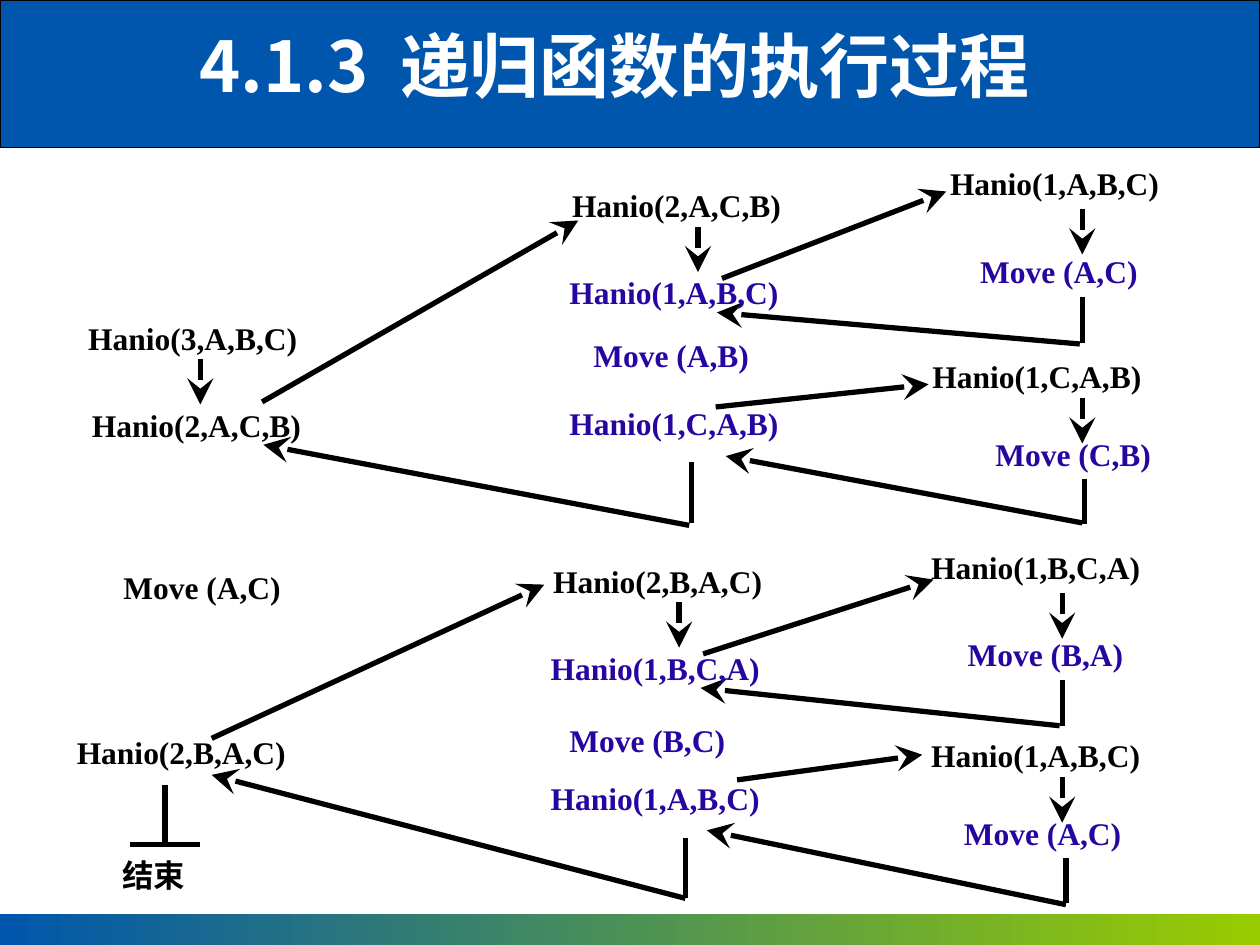
"""Build the slide that traces the recursive Hanio calls."""
from typing import NamedTuple

import pptx
import pptx.dml.color
import pptx.enum.shapes
import pptx.enum.text
import pptx.oxml
import pptx.oxml.ns
import pptx.util

Inches = pptx.util.Inches
Pt = pptx.util.Pt
RGBColor = pptx.dml.color.RGBColor
PP_ALIGN = pptx.enum.text.PP_ALIGN
MSO_ANCHOR = pptx.enum.text.MSO_ANCHOR
MSO_SHAPE = pptx.enum.shapes.MSO_SHAPE

BLUE = RGBColor(0x00, 0x56, 0xAC)
GREEN = RGBColor(0x99, 0xCC, 0x00)
PURPLE = RGBColor(0x26, 0x05, 0xA1)
BLACK = RGBColor(0, 0, 0)
WHITE = RGBColor(255, 255, 255)
LATIN = "Times New Roman"
CJK = "Noto Sans CJK SC"
STEP = 0.36


class Label(NamedTuple):
    text: str
    left: float
    top: float
    color: RGBColor = BLACK
    width: float = 1.9
    align: PP_ALIGN = PP_ALIGN.JUSTIFY


class Line(NamedTuple):
    x1: float
    y1: float
    x2: float
    y2: float
    arrow: bool = True


LABELS = [
    Label("Hanio(3,A,B,C)", 0.7, 2.53),
    Label("Hanio(2,A,C,B)", 0.73, 3.22),
    Label("Move (A,C)", 0.98, 4.51),
    Label("Hanio(2,B,A,C)", 0.61, 5.82),
    Label("结束", 0.97, 6.79, width=0.72, align=PP_ALIGN.LEFT),
    Label("Hanio(2,A,C,B)", 4.54, 1.48),
    Label("Hanio(1,A,B,C)", 4.52, 2.17, PURPLE),
    Label("Move (A,B)", 4.71, 2.67, PURPLE),
    Label("Hanio(1,C,A,B)", 4.52, 3.21, PURPLE),
    Label("Hanio(2,B,A,C)", 4.39, 4.46),
    Label("Hanio(1,B,C,A)", 4.37, 5.15, PURPLE),
    Label("Move (B,C)", 4.52, 5.72, PURPLE),
    Label("Hanio(1,A,B,C)", 4.37, 6.18, PURPLE),
    Label("Hanio(1,A,B,C)", 7.54, 1.3),
    Label("Move (A,C)", 7.78, 2.0, PURPLE),
    Label("Hanio(1,C,A,B)", 7.4, 2.83),
    Label("Move (C,B)", 7.9, 3.45, PURPLE),
    Label("Hanio(1,B,C,A)", 7.39, 4.35),
    Label("Move (B,A)", 7.68, 5.04, PURPLE),
    Label("Hanio(1,A,B,C)", 7.39, 5.84),
    Label("Move (A,C)", 7.65, 6.46, PURPLE),
]

STEPS_DOWN = [(1.59, 2.85), (5.54, 1.8), (5.39, 4.78),
              (8.59, 1.66), (8.59, 3.16), (8.43, 4.71), (8.43, 6.17)]
RETURN_STEMS = [(8.59, 2.36), (8.61, 3.8), (8.43, 5.4), (8.46, 6.81)]
CALLS = [
    Line(2.08, 3.19, 4.59, 1.75), Line(1.68, 5.86, 4.32, 4.64),
    Line(5.73, 2.21, 7.51, 1.52), Line(5.68, 3.23, 7.37, 3.05),
    Line(5.58, 5.19, 7.41, 4.6), Line(5.85, 6.19, 7.32, 5.99),
]
RETURNS = [
    Line(8.57, 2.73, 5.69, 2.48), Line(8.59, 4.15, 5.76, 3.62),
    Line(8.41, 5.76, 5.56, 5.46), Line(8.46, 7.18, 5.61, 6.59),
    Line(5.47, 4.17, 2.09, 3.53), Line(5.44, 7.13, 1.68, 6.15),
]
LONG_STEMS = [Line(5.49, 3.67, 5.49, 4.15, False), Line(5.44, 6.65, 5.44, 7.13, False)]
END_MARK = [Line(1.31, 6.23, 1.31, 6.7, False), Line(1.03, 6.7, 1.59, 6.7, False)]
LINES = (
    [Line(x, y, x, y + STEP) for x, y in STEPS_DOWN]
    + [Line(x, y, x, y + STEP, False) for x, y in RETURN_STEMS]
    + CALLS + RETURNS + LONG_STEMS + END_MARK
)


def format_run(r, size: float, name: str, color: RGBColor) -> None:
    r.font.size = Pt(size)
    r.font.bold = True
    r.font.name = name
    r.font.color.rgb = color
    ea = pptx.oxml.parse_xml(f'<a:ea {pptx.oxml.ns.nsdecls("a")} typeface="{CJK}"/>')
    r.font._element.find(pptx.oxml.ns.qn("a:latin")).addnext(ea)


def add_band(s, top: float, height: float):
    sp = s.shapes.add_shape(
        MSO_SHAPE.RECTANGLE, Inches(0), Inches(top), Inches(10), Inches(height))
    sp.shadow.inherit = False
    return sp


def add_bands(s) -> None:
    header = add_band(s, 0, 1.17)
    header.fill.solid()
    header.fill.fore_color.rgb = BLUE
    header.line.color.rgb = BLACK
    header.line.width = Pt(0.75)
    footer = add_band(s, 7.25, 0.25)
    footer.fill.gradient()
    footer.fill.gradient_angle = 0
    for stop, color in zip(footer.fill.gradient_stops, (BLUE, GREEN)):
        stop.color.rgb = color
    footer.line.fill.background()


def add_title(s, text: str) -> None:
    sp = s.shapes.add_textbox(Inches(1.25), Inches(0.13), Inches(7.25), Inches(0.77))
    tf = sp.text_frame
    tf.word_wrap = True
    tf.vertical_anchor = MSO_ANCHOR.MIDDLE
    p = tf.paragraphs[0]
    p.text = text
    p.alignment = PP_ALIGN.CENTER
    format_run(p.runs[0], 40, CJK, WHITE)


def add_label(s, label: Label) -> None:
    sp = s.shapes.add_textbox(
        Inches(label.left), Inches(label.top), Inches(label.width), Inches(0.3))
    tf = sp.text_frame
    tf.word_wrap = True
    tf.margin_left = tf.margin_right = tf.margin_top = tf.margin_bottom = 0
    p = tf.paragraphs[0]
    p.text = label.text
    p.alignment = label.align
    format_run(p.runs[0], 18, LATIN, label.color)


def add_line(s, line: Line) -> None:
    sp = s.shapes.add_connector(
        pptx.enum.shapes.MSO_CONNECTOR.STRAIGHT,
        Inches(line.x1), Inches(line.y1), Inches(line.x2), Inches(line.y2))
    sp.line.color.rgb = BLACK
    sp.line.width = Pt(3)
    ns = pptx.oxml.ns.nsdecls("a")
    if line.arrow:
        sp.line._get_or_add_ln().append(pptx.oxml.parse_xml(
            f'<a:tailEnd {ns} type="stealth" w="lg" len="lg"/>'))
    sp._element.spPr.append(pptx.oxml.parse_xml(f"<a:effectLst {ns}/>"))


def main() -> None:
    prs = pptx.Presentation()
    prs.slide_width = Inches(10)
    prs.slide_height = Inches(7.5)
    s = prs.slides.add_slide(prs.slide_layouts[6])
    add_bands(s)
    add_title(s, "4.1.3  递归函数的执行过程")
    for line in LINES:
        add_line(s, line)
    for label in LABELS:
        add_label(s, label)
    prs.save("out.pptx")


if __name__ == "__main__":
    main()
